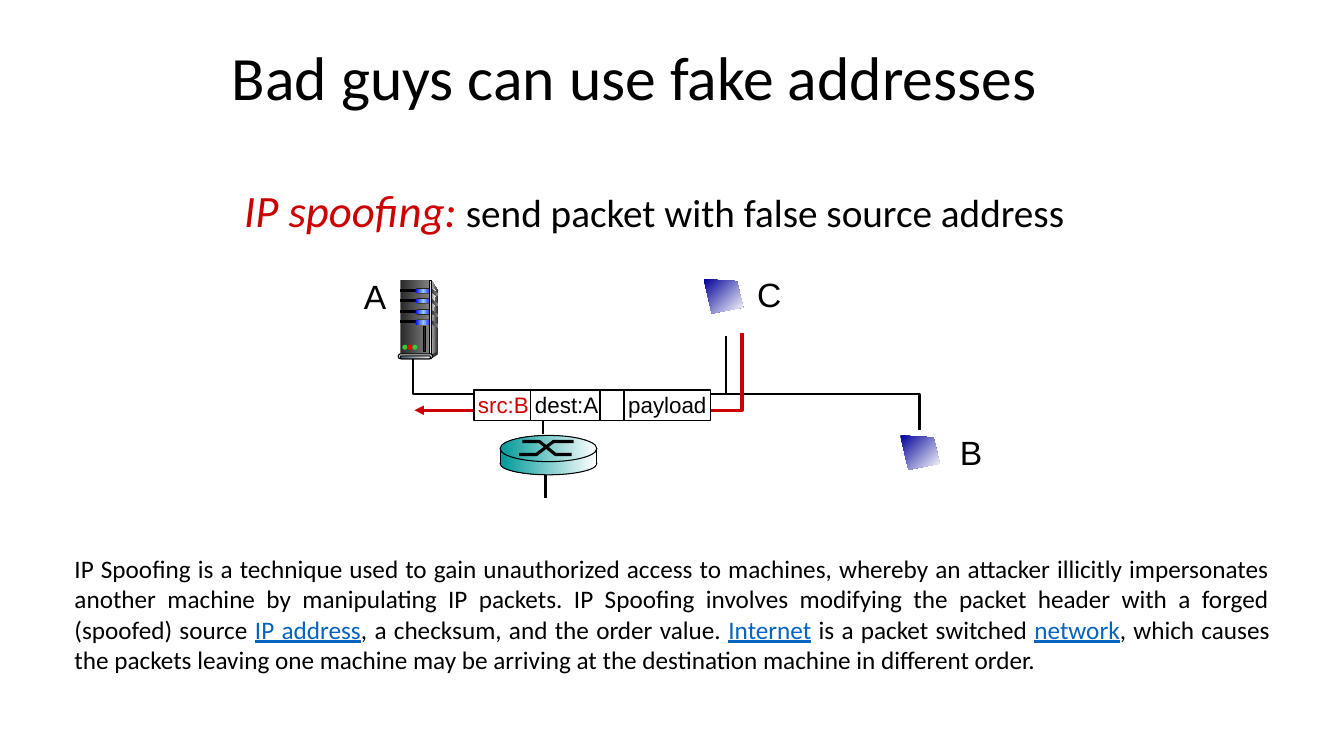
"""Build the slide about IP spoofing with fake source addresses."""
from copy import deepcopy
from dataclasses import dataclass

from lxml import etree
from pptx import Presentation
from pptx.dml.color import RGBColor
from pptx.enum.shapes import MSO_CONNECTOR, MSO_SHAPE
from pptx.enum.text import MSO_ANCHOR, MSO_AUTO_SIZE, PP_ALIGN
from pptx.oxml.ns import qn
from pptx.util import Pt

PX = 9144
RECT, OVAL, PILL = MSO_SHAPE.RECTANGLE, MSO_SHAPE.OVAL, MSO_SHAPE.ROUNDED_RECTANGLE
STRAIGHT = MSO_CONNECTOR.STRAIGHT
LEFT, CENTER, JUSTIFY = PP_ALIGN.LEFT, PP_ALIGN.CENTER, PP_ALIGN.JUSTIFY
TOP, MIDDLE = MSO_ANCHOR.TOP, MSO_ANCHOR.MIDDLE
NO_AUTOFIT = MSO_AUTO_SIZE.NONE


@dataclass(frozen=True)
class Theme:
    """Colours, fonts, type sizes and line widths."""
    sans: str = "Calibri"
    label: str = "Arial"
    ink: str = "000000"
    paper: str = "FFFFFF"
    red: str = "CC0000"
    link: str = "0563C1"
    dark: str = "333333"
    light: str = "DDDDDD"
    green_led: str = "33CC33"
    red_led: str = "FF0000"
    screen: tuple = ("000099", "FFFFFF")
    router: tuple = ("009999", "FFFFFF")
    case: tuple = ("292929", "808080")
    side: tuple = ("DDDDDD", "333333")
    panel: tuple = ("808080", "F8F8F8")
    foot: tuple = ("44546A", "E7E6E6")
    edge: tuple = ("333333", "DDDDDD", "333333")
    drive: tuple = ("0000FF", "99CCFF", "0000FF")
    title_pt: int = 44
    term_pt: int = 32
    lead_pt: int = 28
    name_pt: int = 24
    body_pt: int = 18
    packet_pt: int = 16
    hair: float = 0.75
    thin: float = 1
    wire: float = 1.5
    bold: float = 2.25


T = Theme()


def rgb(colour):
    """Return a colour object for a hex string."""
    return RGBColor.from_string(colour)


def paint(sp, fill=None, line=None, width=T.hair, angle=0):
    """Set fill (none, solid or gradient) and outline, without a shadow."""
    sp.shadow.inherit = False
    if fill is None:
        sp.fill.background()
    elif isinstance(fill, str):
        sp.fill.solid()
        sp.fill.fore_color.rgb = rgb(fill)
    else:
        sp.fill.gradient()
        sp.fill.gradient_angle = angle
        stops = sp._element.spPr.find(".//" + qn("a:gsLst"))
        for _ in fill[2:]:
            stops.append(deepcopy(stops[0]))
        for i, stop in enumerate(sp.fill.gradient_stops):
            stop.position = i / (len(fill) - 1)
            stop.color.rgb = rgb(fill[i])
    if line is None:
        sp.line.fill.background()
    else:
        sp.line.color.rgb = rgb(line)
        sp.line.width = Pt(width)


def add_block(shapes, kind, box, fill, line=None, width=T.hair):
    """Add a preset shape in a px box."""
    sp = shapes.add_shape(kind, *(v * PX for v in box))
    if kind == PILL:
        sp.adjustments[0] = 0.5
    paint(sp, fill, line, width)


def add_polygon(shapes, points, fill, angle=0):
    """Add a closed, filled outline."""
    builder = shapes.build_freeform(*points[0], scale=PX)
    builder.add_line_segments(points[1:], close=True)
    paint(builder.convert_to_shape(), fill, angle=angle)


def add_path(shapes, points, colour, width, arrow=False):
    """Add an open, unfilled polyline, with an arrowhead at its end if asked."""
    builder = shapes.build_freeform(*points[0], scale=PX)
    builder.add_line_segments(points[1:], close=False)
    sp = builder.convert_to_shape()
    paint(sp, None, colour, width)
    if arrow:
        etree.SubElement(sp.line._get_or_add_ln(), qn("a:tailEnd"), type="triangle")


def add_line(shapes, x1, y1, x2, y2, width):
    """Add a straight black connector."""
    cxn = shapes.add_connector(STRAIGHT, x1 * PX, y1 * PX, x2 * PX, y2 * PX)
    cxn.line.color.rgb = rgb(T.ink)
    cxn.line.width = Pt(width)
    etree.SubElement(cxn._element.spPr, qn("a:effectLst"))


def write(tf, runs, font, align=LEFT, spacing=None):
    """Fill the first paragraph with (text, size, colour, style) runs."""
    p = tf.paragraphs[0]
    p.alignment = align
    p.space_before = Pt(0)
    if spacing:
        p.line_spacing = spacing
    for text, size, colour, style in runs:
        r = p.add_run()
        r.text = text
        r.font.name = font
        r.font.size = Pt(size)
        r.font.color.rgb = rgb(colour)
        r.font.italic = style == "italic"
        r.font.underline = style == "underline"


def add_text(shapes, box, runs, font, align, wrap=True):
    """Add a text box in a px box and return its frame and paragraph."""
    tf = shapes.add_textbox(*(v * PX for v in box)).text_frame
    tf.word_wrap = wrap
    write(tf, runs, font, align)
    return tf


def fill_placeholder(sp, box, runs, anchor):
    """Move a placeholder and write one unbulleted paragraph in it."""
    sp.left, sp.top, sp.width, sp.height = (v * PX for v in box)
    tf = sp.text_frame
    tf.auto_size = NO_AUTOFIT
    tf.vertical_anchor = anchor
    pPr = tf.paragraphs[0]._p.get_or_add_pPr()
    pPr.set("marL", str(25 * PX))
    pPr.set("indent", str(-25 * PX))
    etree.SubElement(pPr, qn("a:buNone"))
    write(tf, runs, T.sans, spacing=0.9)


def add_screen(shapes, x, y):
    """Add a tilted computer screen."""
    corners = ((0, 0), (33, 2), (39, 28), (8, 34))
    add_polygon(shapes, [(x + dx, y + dy) for dx, dy in corners], T.screen, 315)


def add_packet(shapes):
    """Add the packet with its header fields."""
    add_block(shapes, RECT, (470, 387, 235, 30), T.paper, T.ink, T.thin)
    for x in (526, 595, 619):
        add_line(shapes, x, 388, x, 417, T.thin)
    tf = add_text(shapes, (462, 383, 251, 37),
                  [("src:B", T.packet_pt, T.red, ""),
                   (" dest:A\tpayload", T.packet_pt, T.ink, "")], T.label, LEFT)
    tf.margin_left = 12 * PX
    tabs = etree.SubElement(tf.paragraphs[0]._p.get_or_add_pPr(), qn("a:tabLst"))
    etree.SubElement(tabs, qn("a:tab"), pos=str(149 * PX), algn="l")


def add_server(shapes):
    """Add the server tower with its four drives."""
    add_polygon(shapes, [(428, 278), (434, 288), (434, 350), (426, 353)], T.side)
    add_block(shapes, RECT, (397, 278, 29, 74), T.case)
    add_polygon(shapes, [(428, 283), (432, 289), (429, 320), (428, 351)], T.panel)
    for i in range(4):
        y = round(287 + 10.4 * i)
        add_block(shapes, RECT, (397, y, 17, 2), T.ink, T.ink)
        add_block(shapes, PILL, (412, y - 1, 16, 5), T.ink)
        add_block(shapes, PILL, (412, y, 16, 4), T.drive)
        add_polygon(shapes, [(428, y), (434, y + 4), (434, y + 7), (427, y + 2)], T.case)
    add_block(shapes, RECT, (426, 278, 2, 74), T.edge, T.ink)
    add_block(shapes, OVAL, (433, 349, 1, 3), T.dark)
    add_polygon(shapes, [(427, 352), (427, 356), (434, 352), (434, 349)], T.dark)
    add_block(shapes, PILL, (395, 351, 34, 5), T.light, T.ink)
    add_block(shapes, PILL, (397, 353, 30, 3), T.foot, T.ink)
    for i, colour in enumerate((T.green_led, T.red_led, T.green_led)):
        add_block(shapes, OVAL, (399 + 5 * i, 342, 5, 5), colour)
    add_block(shapes, RECT, (420, 324, 2, 25), T.case[0], T.ink)


def add_router(shapes):
    """Add the router disc with its crossing paths."""
    add_block(shapes, OVAL, (496, 449, 96, 22), T.router, T.ink)
    add_block(shapes, RECT, (496, 447, 96, 14), T.router)
    add_block(shapes, OVAL, (496, 432, 96, 26), T.router, T.ink)
    add_path(shapes, [(515, 451), (532, 451), (549, 438), (569, 438)], T.ink, T.bold)
    add_path(shapes, [(518, 438), (535, 438), (551, 451), (567, 451)], T.ink, T.bold)
    for x in (496, 592):
        add_line(shapes, x, 444, x, 461, T.hair)


def main():
    """Build and save the slide."""
    prs = Presentation()
    prs.slide_width, prs.slide_height = 1333 * PX, 750 * PX
    s = prs.slides.add_slide(prs.slide_layouts[1])
    shapes = s.shapes
    fill_placeholder(shapes.title, (220, 28, 850, 104),
                     [("Bad guys can use fake addresses", T.title_pt, T.ink, "")], MIDDLE)
    fill_placeholder(s.placeholders[1], (232, 182, 883, 162),
                     [("IP spoofing:", T.term_pt, T.red, "italic"),
                      (" send packet with false source address", T.lead_pt, T.ink, "")], TOP)
    add_screen(shapes, 698, 277)
    add_path(shapes, [(410, 347), (410, 391), (912, 391), (912, 427)], T.ink, T.wire)
    add_line(shapes, 720, 390, 720, 333, T.wire)
    add_line(shapes, 539, 431, 539, 390, T.wire)
    add_line(shapes, 541, 494, 541, 468, T.wire)
    for name, x, y in (("A", 351, 269), ("B", 942, 424), ("C", 741, 267)):
        add_text(shapes, (x, y, 42, 50), [(name, T.name_pt, T.ink, "")], T.label, CENTER, False)
    add_path(shapes, [(736, 330), (736, 407), (411, 407)], T.red, T.bold, arrow=True)
    add_packet(shapes.add_group_shape().shapes)
    add_screen(shapes, 893, 432)
    add_server(shapes.add_group_shape().shapes)
    add_router(shapes.add_group_shape().shapes)
    sentence = (
        ("IP Spoofing is a technique used to gain unauthorized access to machines, whereby an "
         "attacker illicitly impersonates another machine by manipulating IP packets. IP Spoofing "
         "involves modifying the packet header with a forged (spoofed) source ", False),
        ("IP address", True), (", a checksum, and the order value. ", False),
        ("Internet", True), (" is a packet switched ", False), ("network", True),
        (", which causes the packets leaving one machine may be arriving at the destination "
         "machine in different order.", False))
    add_text(shapes, (64, 544, 1205, 131),
             [(text, T.body_pt, T.link if linked else T.ink, "underline" if linked else "")
              for text, linked in sentence], T.sans, JUSTIFY)
    prs.save("out.pptx")


if __name__ == "__main__":
    main()
